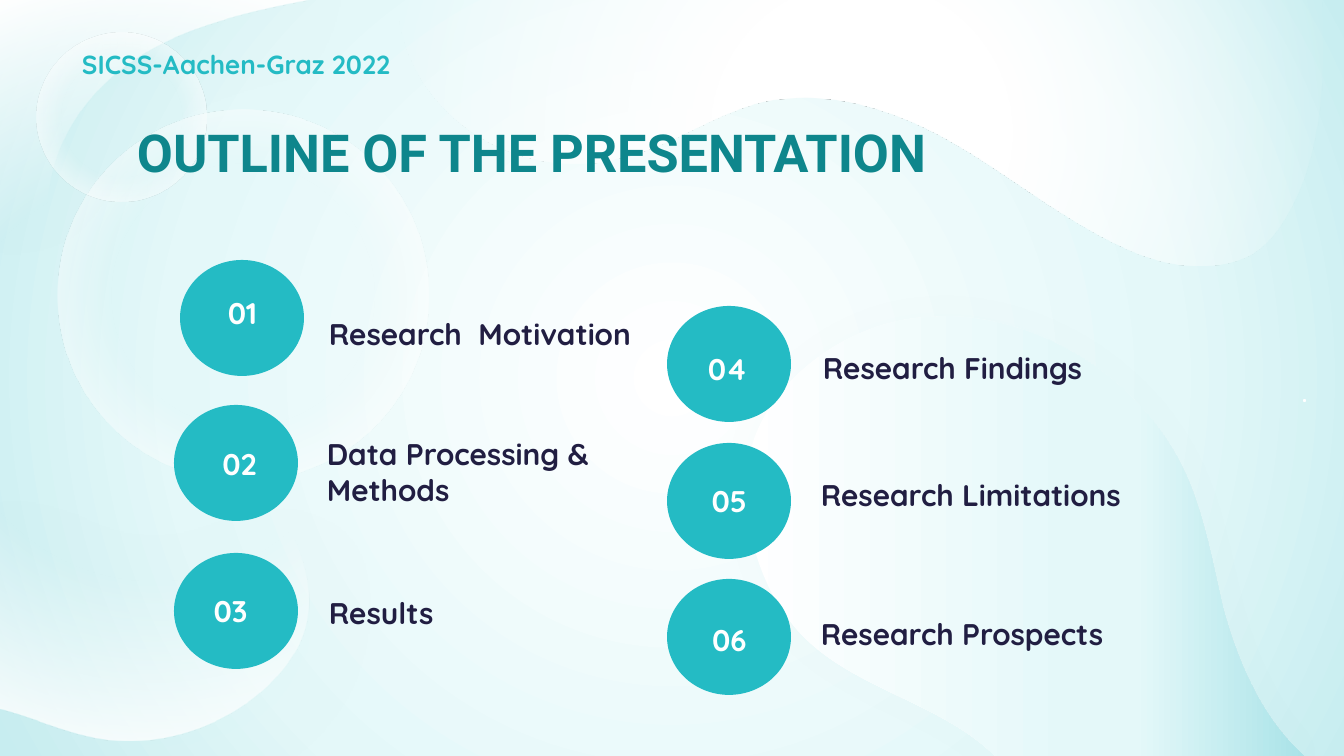
from lxml.etree import SubElement
from pptx import Presentation
from pptx.dml.color import RGBColor
from pptx.enum.shapes import MSO_SHAPE
from pptx.enum.text import MSO_ANCHOR, PP_ALIGN
from pptx.oxml.ns import qn
from pptx.util import Pt

# Content
TITLE = "OUTLINE OF THE PRESENTATION"
EVENT = "SICSS-Aachen-Graz 2022"
# number, label, then left and top of the circle, the number box and the label box
ITEMS = [
    ("01", "Research  Motivation", (180, 260), (193, 286), (316, 310)),
    ("02", "Data Processing & Methods", (174, 405), (190, 437), (314, 466)),
    ("03", "Results", (174, 553), (181, 584), (316, 590)),
    ("04", "Research Findings", (667, 306), (678, 342), (810, 344)),
    ("05", "Research Limitations", (667, 443), (680, 474), (808, 472)),
    ("06", "Research Prospects", (667, 579), (680, 613), (808, 611)),
]
COLORS = {"teal": "24BBC4", "deep": "0E868C", "ink": "211E42", "white": "FFFFFF",
          "mist": "E4F8F9", "pale": "C7EDF0", "aqua": "AAE3E8"}

# Gradient stops: position in percent, colour, opacity in percent
PAGE_STOPS = [(0, "white", 100), (65, "mist", 100), (100, "pale", 100)]
TIDE_STOPS = [(0, "white", 100), (59, "mist", 100), (70, "mist", 100), (100, "aqua", 100)]
CLOUD_STOPS = [(0, "white", 100), (31, "white", 100), (100, "white", 0)]
BUBBLE_STOPS = [(0, "white", 0), (50, "white", 0), (100, "white", 100)]

# Wave outlines in px: a start point, then Bezier curves (two controls and an end)
# or straight lines (an end only)
TIDE = [(995, 756),
        (939, 700, 844, 688, 793, 625), (775, 603, 763, 578, 755, 551),
        (746, 515, 742, 476, 754, 439), (777, 373, 857, 317, 935, 317),
        (938, 316, 939, 316, 942, 316), (1050, 316, 1156, 390, 1193, 492),
        (1207, 530, 1214, 569, 1223, 608), (1238, 663, 1262, 719, 1304, 756)]
CLOUD = [(398, 0),
         (399, 44, 419, 86, 452, 116), (484, 146, 530, 164, 575, 164),
         (589, 164, 603, 163, 617, 159), (671, 148, 715, 112, 769, 101),
         (781, 99, 793, 98, 805, 98), (857, 98, 910, 118, 956, 145),
         (1011, 177, 1062, 219, 1120, 246), (1145, 258, 1172, 266, 1199, 266),
         (1216, 266, 1233, 263, 1249, 255), (1274, 241, 1290, 211, 1301, 184),
         (1323, 125, 1324, 63, 1321, 0)]
SHORE = [(0, 708),
         (32, 716, 60, 730, 94, 737), (175, 754, 263, 708, 296, 648),
         (304, 633, 308, 617, 308, 601), (308, 536, 253, 469, 206, 425),
         (149, 374, 81, 324, 56, 257), (51, 241, 48, 226, 48, 210),
         (48, 157, 75, 106, 121, 70), (169, 31, 241, 13, 309, 0),
         (0, 0)]
BUBBLES = [(58, 110, 370, 370), (37, 33, 169, 169)]

CIRCLE_SIZE = (124, 116)
NUMBER_SIZE = (99, 54)
LABEL_SIZE = (352, 54)
INSET = 13


def px(length):
    return round(length * 914400 / 134.4)


def add_color(parent, name, opacity=100):
    color = SubElement(parent, qn("a:srgbClr"), val=COLORS[name])
    if opacity < 100:
        SubElement(color, qn("a:alpha"), val=str(opacity * 1000))


def set_gradient(fill, holder, stops, radial=True):
    """Swap the solid fill inside holder for a gradient."""
    fill.solid()
    solid = holder.find(qn("a:solidFill"))
    gradient = SubElement(holder, qn("a:gradFill"), rotWithShape="1")
    holder.replace(solid, gradient)
    stop_list = SubElement(gradient, qn("a:gsLst"))
    for position, name, opacity in stops:
        stop = SubElement(stop_list, qn("a:gs"), pos=str(position * 1000))
        add_color(stop, name, opacity)
    if radial:
        shade = SubElement(gradient, qn("a:path"), {"path": "circle"})
        SubElement(shade, qn("a:fillToRect"), l="50000", t="50000", r="50000", b="50000")
    else:
        SubElement(gradient, qn("a:lin"), ang="0", scaled="0")


def make_plain(shape):
    shape.shadow.inherit = False
    shape.line.fill.background()
    return shape


def bend_lines(properties, segments):
    """Merge each three lines that stand for a curve into one Bezier."""
    lines = iter(list(properties.iter(qn("a:lnTo"))))
    for segment in segments:
        first = next(lines)
        if len(segment) == 6:
            first.tag = qn("a:cubicBezTo")
            for line in (next(lines), next(lines)):
                first.append(line[0])
                line.getparent().remove(line)


def add_wave(page, outline, stops, radial=True, shadow=None):
    (start_x, start_y), *segments = outline
    builder = page.shapes.build_freeform(px(start_x), px(start_y))
    points = [(px(x), px(y)) for segment in segments
              for x, y in zip(segment[::2], segment[1::2])]
    builder.add_line_segments(points, close=False)
    wave = make_plain(builder.convert_to_shape())
    properties = wave.element.spPr
    bend_lines(properties, segments)
    SubElement(next(properties.iter(qn("a:moveTo"))).getparent(), qn("a:close"))
    set_gradient(wave.fill, properties, stops, radial)
    if shadow:
        opacity, blur, distance, angle = shadow
        outer = SubElement(properties.find(qn("a:effectLst")), qn("a:outerShdw"),
                           blurRad=str(Pt(blur)), dist=str(Pt(distance)),
                           dir=str(angle * 60000), algn="ctr", rotWithShape="0")
        add_color(outer, "pale", opacity)


def add_ellipse(page, place, color=None):
    ellipse = make_plain(page.shapes.add_shape(MSO_SHAPE.OVAL, *map(px, place)))
    if color:
        ellipse.fill.solid()
        ellipse.fill.fore_color.rgb = RGBColor.from_string(COLORS[color])
    return ellipse


def write_text(box, text, size=16, font="Quicksand", color="ink", anchor=MSO_ANCHOR.TOP,
               align=PP_ALIGN.LEFT, line_spacing=None, space_after=None):
    frame = box.text_frame
    frame.word_wrap = True
    frame.vertical_anchor = anchor
    frame.margin_left = frame.margin_right = px(INSET)
    frame.margin_top = frame.margin_bottom = px(INSET)
    para = frame.paragraphs[0]
    para.alignment = align
    para.line_spacing = line_spacing
    para.space_after = space_after
    span = para.add_run()
    span.text = text
    span.font.size = Pt(size)
    span.font.name = font
    span.font.bold = True
    span.font.color.rgb = RGBColor.from_string(COLORS[color])


def add_text(page, place, text, **style):
    write_text(page.shapes.add_textbox(*map(px, place)), text, **style)


def main():
    deck = Presentation()
    deck.slide_width, deck.slide_height = px(1344), px(756)
    page = deck.slides.add_slide(deck.slide_layouts[5])

    # Background and decoration
    background = page.background.fill
    background.solid()
    set_gradient(background, page.element.find(".//" + qn("p:bgPr")), PAGE_STOPS)
    add_wave(page, TIDE, TIDE_STOPS, radial=False, shadow=(5, 14.6, 0, 0))
    add_wave(page, CLOUD, CLOUD_STOPS)
    add_ellipse(page, (1303, 399, 3, 3), "white")
    add_wave(page, SHORE, BUBBLE_STOPS, shadow=(22, 45, 0.8, 90))
    for place in BUBBLES:
        bubble = add_ellipse(page, place)
        set_gradient(bubble.fill, bubble.element.spPr, BUBBLE_STOPS)

    # Title, brought in front of the decoration
    title = page.shapes.title
    title.left, title.top, title.width, title.height = map(px, (124, 107, 1071, 133))
    write_text(title, TITLE, size=28, font="Roboto", color="deep")
    title.element.getparent().append(title.element)

    # Numbered outline
    for number, label, circle_at, number_at, label_at in ITEMS:
        add_ellipse(page, circle_at + CIRCLE_SIZE, "teal")
        add_text(page, number_at + NUMBER_SIZE, number, color="white",
                 anchor=MSO_ANCHOR.MIDDLE, align=PP_ALIGN.CENTER)
        add_text(page, label_at + LABEL_SIZE, label, anchor=MSO_ANCHOR.BOTTOM)

    # Event line
    add_text(page, (69, 29, 441, 59), EVENT, size=14, color="teal",
             line_spacing=1.2, space_after=Pt(6))

    deck.save("out.pptx")


if __name__ == "__main__":
    main()
